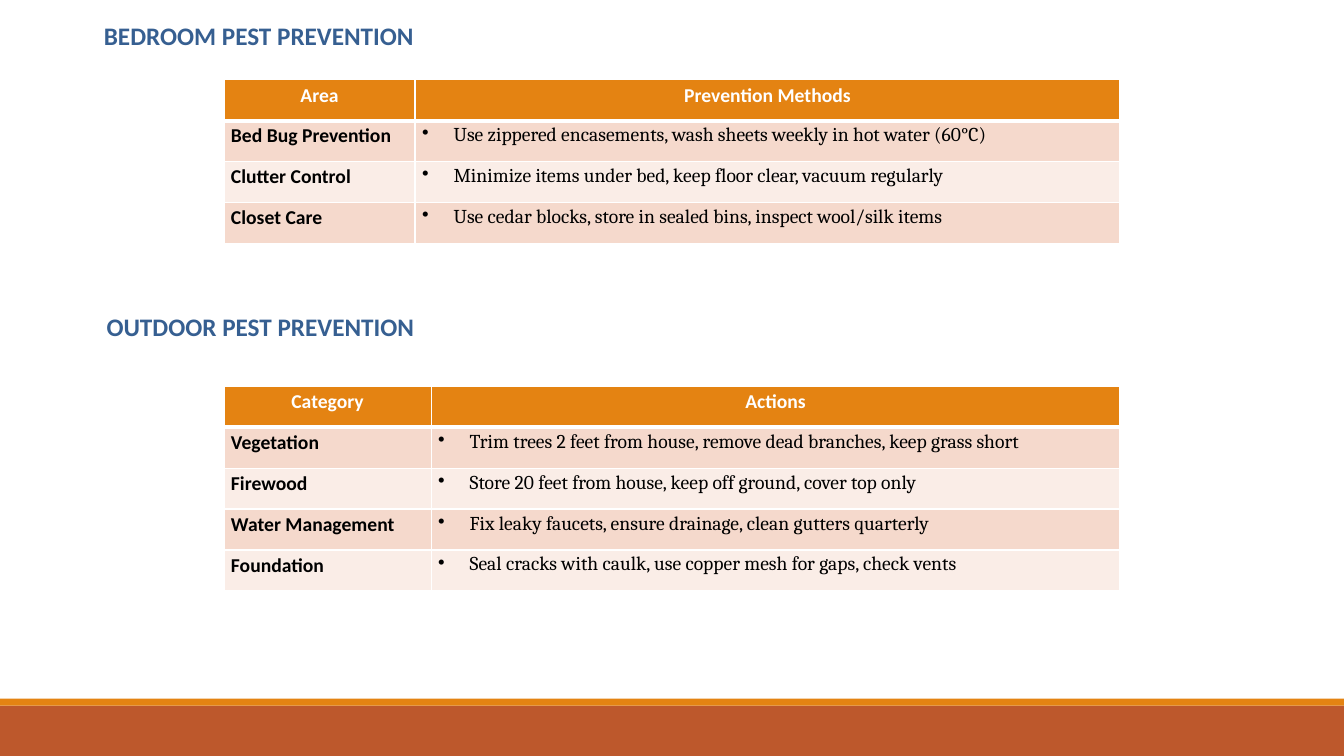
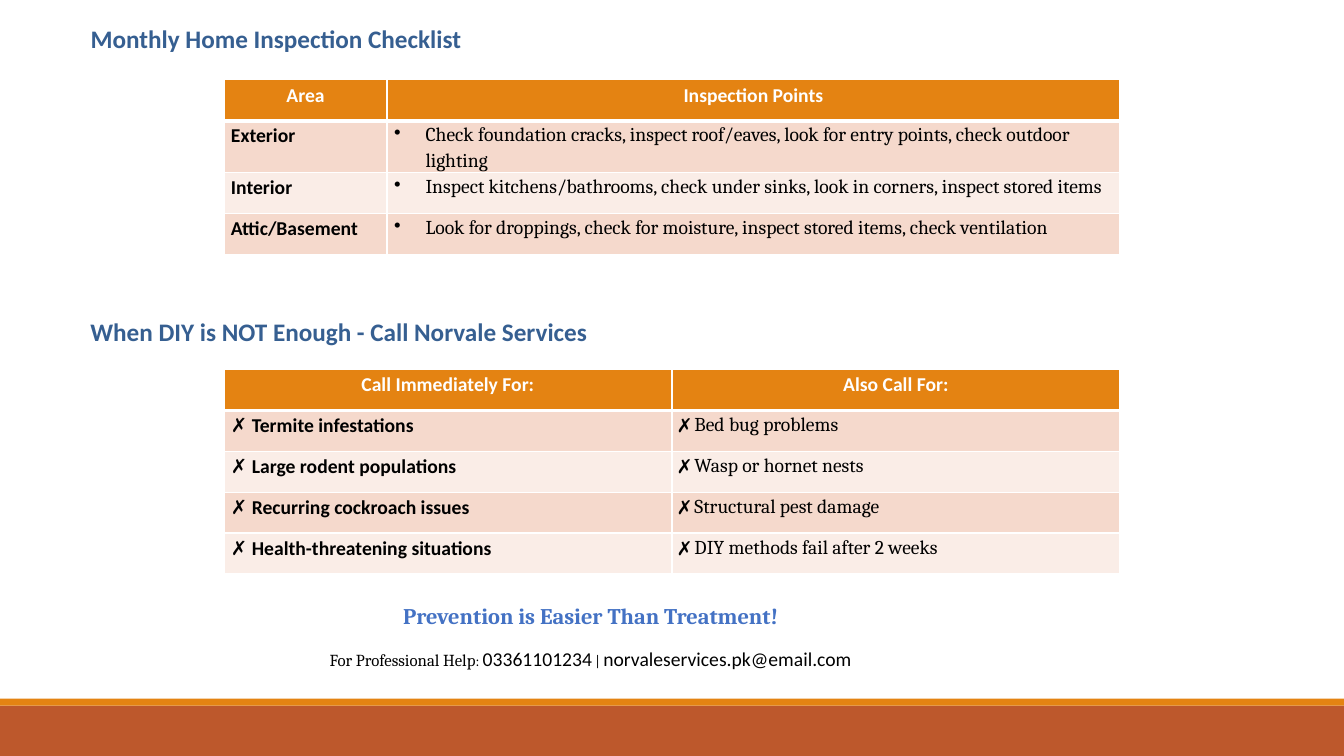
from dataclasses import dataclass

from lxml.etree import SubElement
from pptx import Presentation
from pptx.dml.color import RGBColor
from pptx.enum.shapes import MSO_SHAPE as Shape
from pptx.enum.text import MSO_ANCHOR as Anchor, MSO_AUTO_SIZE as AutoSize, PP_ALIGN as Align
from pptx.oxml.ns import qn
from pptx.util import Pt

SLIDE_W, SLIDE_H = 960, 540
ORANGE, RUST, NAVY, BLUE = "E48312", "BD582C", "365F91", "4472C4"
WHITE, BLACK = "FFFFFF", "000000"
STRIPES = ("F5D9CC", "FAEDE7")
SANS, SERIF = "Calibri", "Cambria"
TABLE_LEFT, TABLE_W, ROW_H = 160, 640, 29.2
HEADING_H, BULLET_INDENT = 32.4, 22.5


@dataclass(frozen=True)
class Band:
    top: float
    height: float
    color: str


@dataclass(frozen=True)
class Section:
    heading: str
    left: float
    top: float
    width: float
    table_top: float
    first_col: float
    rows: tuple[tuple[str, str], ...]
    bullet: str = "•"


BANDS = (Band(504, 36, RUST), Band(499, 5, ORANGE))

SLIDES = (
    (
        Section("BEDROOM PEST PREVENTION", 67, 8, 238, 57, 136.5, (
            ("Area", "Prevention Methods"),
            ("Bed Bug Prevention", "Use zippered encasements, wash sheets weekly in hot water (60°C)"),
            ("Clutter Control", "Minimize items under bed, keep floor clear, vacuum regularly"),
            ("Closet Care", "Use cedar blocks, store in sealed bins, inspect wool/silk items"),
        )),
        Section("OUTDOOR PEST PREVENTION", 69, 215.5, 237, 276, 148, (
            ("Category", "Actions"),
            ("Vegetation", "Trim trees 2 feet from house, remove dead branches, keep grass short"),
            ("Firewood", "Store 20 feet from house, keep off ground, cover top only"),
            ("Water Management", "Fix leaky faucets, ensure drainage, clean gutters quarterly"),
            ("Foundation", "Seal cracks with caulk, use copper mesh for gaps, check vents"),
        )),
    ),
    (
        Section("Monthly Home Inspection Checklist", 57.5, 9.5, 281.5, 57, 116.5, (
            ("Area", "Inspection Points"),
            ("Exterior", "Check foundation cracks, inspect roof/eaves, look for entry points, "
                         "check outdoor lighting"),
            ("Interior", "Inspect kitchens/bathrooms, check under sinks, look in corners, "
                         "inspect stored items"),
            ("Attic/Basement", "Look for droppings, check for moisture, inspect stored items, "
                               "check ventilation"),
        )),
        Section("When DIY is NOT Enough - Call Norvale Services", 57.5, 219, 370, 264, 320, (
            ("Call Immediately For:", "Also Call For:"),
            ("✗ Termite infestations", "✗ Bed bug problems"),
            ("✗ Large rodent populations", "✗ Wasp or hornet nests"),
            ("✗ Recurring cockroach issues", "✗ Structural pest damage"),
            ("✗ Health-threatening situations", "✗ DIY methods fail after 2 weeks"),
        ), bullet=""),
    ),
)


def rgb(color: str) -> RGBColor:
    return RGBColor.from_string(color)


def write(p, text: str, *, font: str = SANS, size: float = 14, color: str = BLACK,
          bold: bool = False, align: Align = Align.LEFT, after: float = 0) -> None:
    p.alignment = align
    p.line_spacing = 1.15
    p.space_before, p.space_after = Pt(0), Pt(after)
    r = p.add_run()
    r.text = text
    r.font.name, r.font.size, r.font.bold = font, Pt(size), bold
    r.font.color.rgb = rgb(color)


def add_bullet(p, char: str) -> None:
    pPr = p._p.get_or_add_pPr()
    pPr.set("marL", str(Pt(BULLET_INDENT)))
    pPr.set("indent", str(-Pt(BULLET_INDENT)))
    SubElement(pPr, qn("a:buChar"), char=char)


def set_borders(cell, **widths: float) -> None:
    tcPr = cell._tc.get_or_add_tcPr()
    for i, side in enumerate("LRTB"):
        ln = SubElement(tcPr, qn(f"a:ln{side}"), w=str(Pt(widths.get(side, 1))))
        fill = SubElement(ln, qn("a:solidFill"))
        SubElement(fill, qn("a:srgbClr"), val=WHITE)
        tcPr.insert(i, ln)


def add_bands(s, layout) -> None:
    for i, band in enumerate(BANDS):
        sp = s.shapes.add_shape(Shape.RECTANGLE, 0, Pt(band.top), Pt(SLIDE_W), Pt(band.height))
        sp.shadow.inherit = False
        sp.fill.solid()
        sp.fill.fore_color.rgb = rgb(band.color)
        sp.line.fill.background()
        sp.element.nvSpPr.cNvPr.set("id", str(100 + i))
        layout.shapes.element.insert(2 + i, sp.element)


def format_heading(sp, section: Section) -> None:
    sp.left, sp.top = Pt(section.left), Pt(section.top)
    sp.width, sp.height = Pt(section.width), Pt(HEADING_H)
    tf = sp.text_frame
    tf.word_wrap = False
    tf.auto_size = AutoSize.NONE
    tf.vertical_anchor = Anchor.TOP
    write(tf.paragraphs[0], section.heading, size=18, color=NAVY, bold=True)


def fill_cell(cell, text: str, row: int, col: int, bullet: str) -> None:
    header = row == 0
    cell.margin_left = cell.margin_right = Pt(5)
    cell.margin_top = cell.margin_bottom = 0
    cell.fill.solid()
    cell.fill.fore_color.rgb = rgb(ORANGE if header else STRIPES[(row - 1) % 2])
    set_borders(cell, T=3 if row == 1 else 1, B=3 if header else 1)
    p = cell.text_frame.paragraphs[0]
    write(p, text, font=SERIF if col and not header else SANS,
          color=WHITE if header else BLACK, bold=header or col == 0,
          align=Align.CENTER if header else Align.LEFT)
    if bullet and col and not header:
        add_bullet(p, bullet)


def add_section_table(s, section: Section) -> None:
    n = len(section.rows)
    table = s.shapes.add_table(n, 2, Pt(TABLE_LEFT), Pt(section.table_top),
                               Pt(TABLE_W), Pt(n * ROW_H)).table
    table.columns[0].width = Pt(section.first_col)
    table.columns[1].width = Pt(TABLE_W - section.first_col)
    for i, texts in enumerate(section.rows):
        table.rows[i].height = Pt(ROW_H)
        for j, text in enumerate(texts):
            fill_cell(table.cell(i, j), text, i, j, section.bullet)


def add_contact(s) -> None:
    tf = s.shapes.add_textbox(Pt(182), Pt(424), Pt(480), Pt(60)).text_frame
    tf.word_wrap = True
    write(tf.paragraphs[0], "Prevention is Easier Than Treatment!", font=SERIF, size=16,
          color=BLUE, bold=True, align=Align.CENTER, after=10)
    p = tf.add_paragraph()
    for text, font, size in (
        ("For Professional Help", SERIF, 12),
        (": ", SERIF, 10.5),
        ("03361101234", SANS, 14),
        (" | ", SERIF, 10.5),
        ("norvaleservices.pk@email.com", SANS, 14),
    ):
        write(p, text, font=font, size=size, align=Align.CENTER, after=10)


def main() -> None:
    prs = Presentation()
    prs.slide_width, prs.slide_height = Pt(SLIDE_W), Pt(SLIDE_H)
    layout = prs.slide_layouts.get_by_name("Title Only")
    for sections in SLIDES:
        s = prs.slides.add_slide(layout)
        for i, section in enumerate(sections):
            sp = s.shapes.add_textbox(0, 0, 0, 0) if i else s.shapes.title
            format_heading(sp, section)
            add_section_table(s, section)
    add_bands(s, layout)
    add_contact(s)
    prs.save("out.pptx")


if __name__ == "__main__":
    main()
